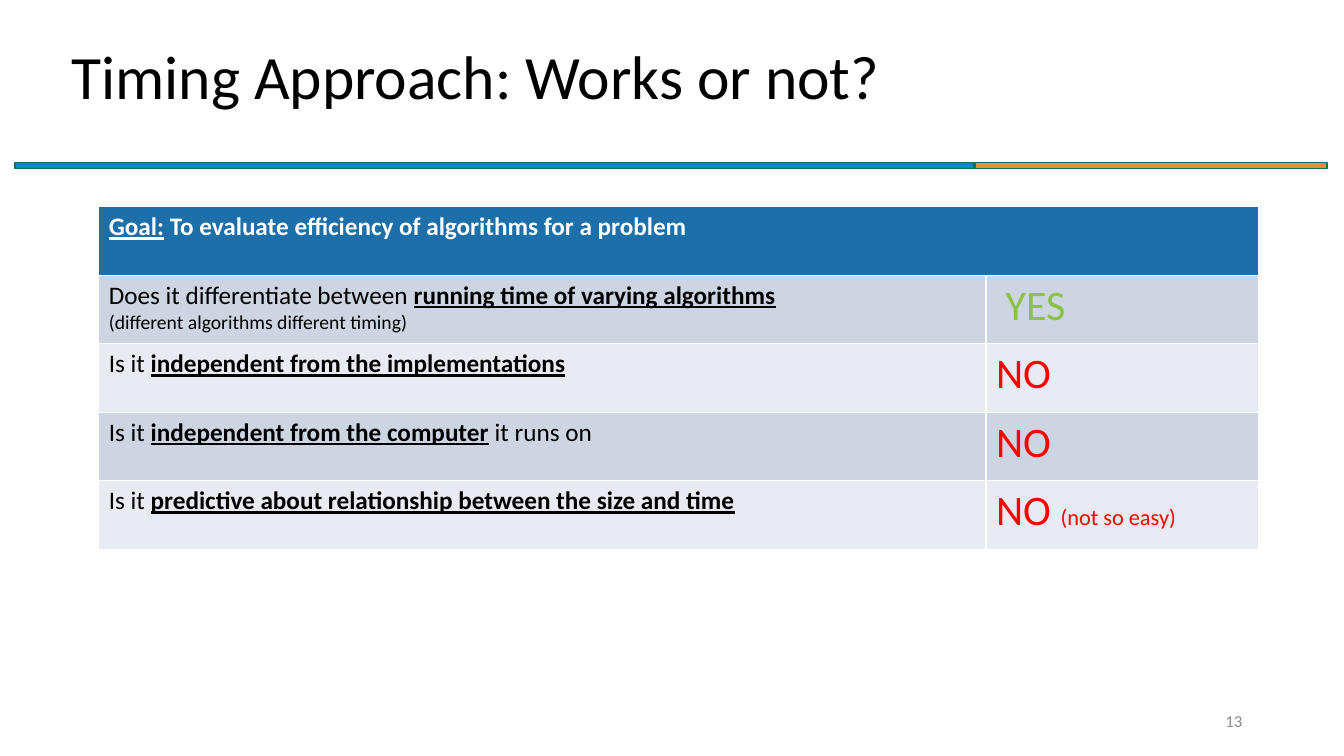
import pptx
import pptx.dml.color
import pptx.enum.shapes
import pptx.enum.text
import pptx.util

Inches = pptx.util.Inches
ANCHOR = pptx.enum.text.MSO_ANCHOR
ALIGN = pptx.enum.text.PP_ALIGN

COLORS = {
    "black": "000000",
    "white": "FFFFFF",
    "grey": "8C8C8C",
    "blue": "0088D1",
    "orange": "E09134",
    "outline": "157259",
    "header": "1D6FA9",
    "dark_row": "CDD5E2",
    "light_row": "E8EBF1",
    "yes": "8BC145",
    "no": "FF0000",
}


def color(name):
    return pptx.dml.color.RGBColor.from_string(COLORS[name])


class SlideBuilder:
    font = "Calibri"

    def __init__(self, deck):
        self.page = deck.slides.add_slide(deck.slide_layouts[5])

    def style(self, span, size, ink, strong=False, underline=False):
        span.font.name = self.font
        span.font.size = pptx.util.Pt(size)
        span.font.color.rgb = color(ink)
        span.font.bold = strong
        span.font.underline = underline

    def line(self, box, text, size, ink, align):
        frame = box.text_frame
        frame.text = text
        frame.word_wrap = True
        frame.auto_size = pptx.enum.text.MSO_AUTO_SIZE.NONE
        frame.vertical_anchor = ANCHOR.MIDDLE
        para = frame.paragraphs[0]
        para.alignment = align
        self.style(para.runs[0], size, ink)
        return para

    def title(self, text, left, top, width, height):
        box = self.page.shapes.title
        box.left, box.top = Inches(left), Inches(top)
        box.width, box.height = Inches(width), Inches(height)
        self.line(box, text, 44, "black", ALIGN.LEFT).line_spacing = 0.9

    def page_number(self, text, left, top, width, height):
        box = self.page.shapes.add_textbox(
            Inches(left), Inches(top), Inches(width), Inches(height))
        self.line(box, text, 12, "grey", ALIGN.RIGHT)

    def bar(self, left, top, width, height, fill):
        shape = self.page.shapes.add_shape(
            pptx.enum.shapes.MSO_SHAPE.RECTANGLE,
            Inches(left), Inches(top), Inches(width), Inches(height))
        shape.shadow.inherit = False
        shape.fill.solid()
        shape.fill.fore_color.rgb = color(fill)
        shape.line.color.rgb = color("outline")
        shape.line.width = pptx.util.Pt(1)

    def table(self, left, top, widths, row_height, row_count):
        table = self.page.shapes.add_table(
            row_count, len(widths), Inches(left), Inches(top),
            Inches(sum(widths)), Inches(row_height * row_count)).table
        for column, width in zip(table.columns, widths):
            column.width = Inches(width)
        return table

    def cell(self, cell, fill, *lines):
        cell.fill.solid()
        cell.fill.fore_color.rgb = color(fill)
        for index, spans in enumerate(lines):
            frame = cell.text_frame
            para = frame.add_paragraph() if index else frame.paragraphs[0]
            for text, *look in spans:
                span = para.add_run()
                span.text = text
                self.style(span, *look)


def question(start, key, end=""):
    spans = [(start, 18, "black"), (key, 18, "black", True, True)]
    return spans + [(end, 18, "black")] if end else spans


def main():
    deck = pptx.Presentation()
    deck.slide_width, deck.slide_height = Inches(13.33), Inches(7.5)
    slide = SlideBuilder(deck)
    slide.title("Timing Approach: Works or not?", 0.61, 0.06, 11.5, 1.45)
    slide.bar(0.15, 1.61, 9.51, 0.06, "blue")
    slide.bar(9.67, 1.61, 3.49, 0.06, "orange")
    slide.page_number("13", 9.42, 6.95, 3, 0.4)

    no = [("NO", 30, "no")]
    rows = [
        ([question("Does it differentiate between ",
                   "running time of varying algorithms"),
          [("(different algorithms different timing)", 14, "black")]],
         [(" YES", 30, "yes")]),
        ([question("Is it ", "independent from the implementations")], no),
        ([question("Is it ", "independent from the computer",
                   " it runs on")], no),
        ([question("Is it ", "predictive about relationship between "
                   "the size and time")],
         [("NO ", 30, "no"), ("(not so easy)", 16, "no")]),
    ]
    table = slide.table(0.98, 2.05, [8.8, 2.7], 0.68, len(rows) + 1)
    header = table.cell(0, 0)
    header.merge(table.cell(0, 1))
    slide.cell(header, "header", [
        ("Goal:", 18, "white", True, True),
        (" To evaluate efficiency of algorithms for a problem",
         18, "white", True)])
    for number, (lines, answer) in enumerate(rows, 1):
        fill = "dark_row" if number % 2 else "light_row"
        slide.cell(table.cell(number, 0), fill, *lines)
        slide.cell(table.cell(number, 1), fill, answer)

    deck.save("out.pptx")


if __name__ == "__main__":
    main()
